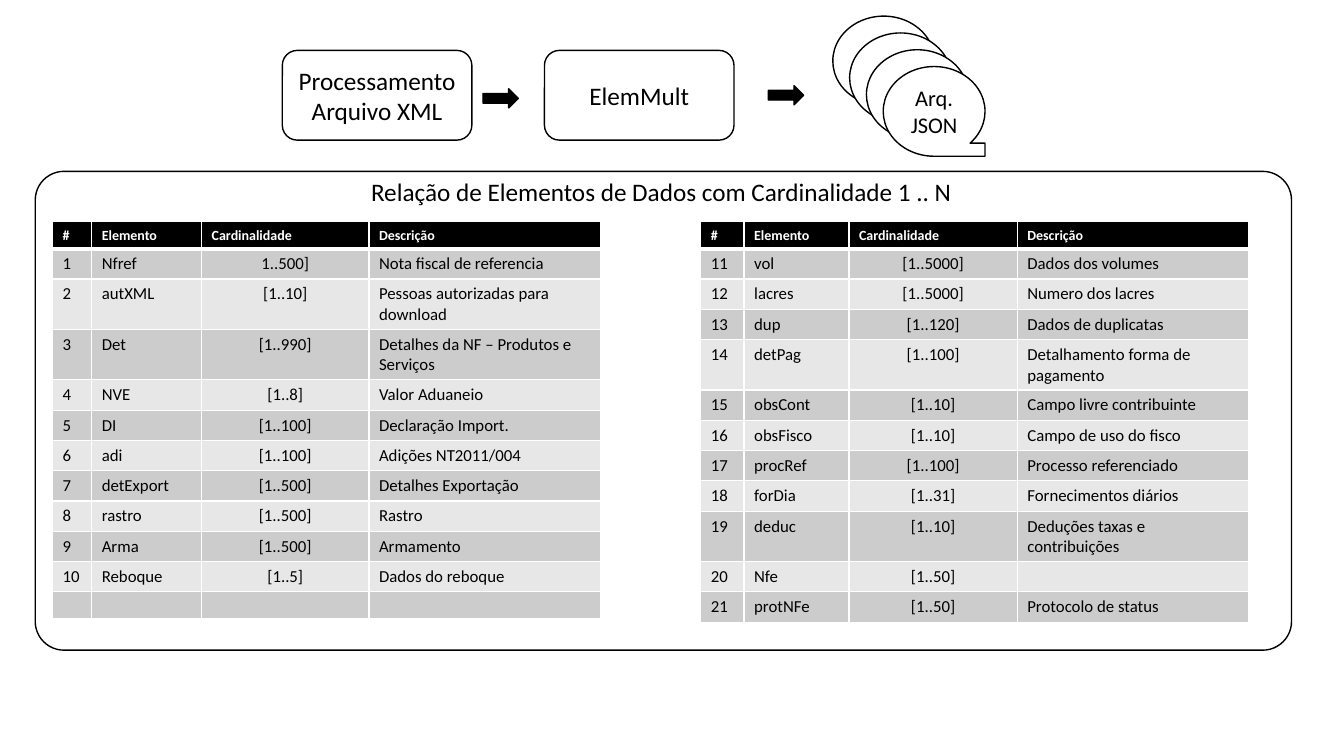
from dataclasses import dataclass

from lxml.etree import SubElement
from pptx import Presentation
from pptx.dml.color import RGBColor
from pptx.enum.shapes import MSO_SHAPE
from pptx.enum.text import MSO_ANCHOR, MSO_AUTO_SIZE, PP_ALIGN
from pptx.oxml.ns import qn
from pptx.util import Inches, Pt


@dataclass(frozen=True)
class Theme:
    font: str = "Calibri"
    black: RGBColor = RGBColor(0x00, 0x00, 0x00)
    white: RGBColor = RGBColor(0xFF, 0xFF, 0xFF)
    odd_row: RGBColor = RGBColor(0xCC, 0xCC, 0xCC)
    even_row: RGBColor = RGBColor(0xE7, 0xE7, 0xE7)
    heading: Pt = Pt(18)
    tape: Pt = Pt(16)
    body: Pt = Pt(12)
    column_head: Pt = Pt(10)
    outline: Pt = Pt(1)
    head_rule: Pt = Pt(3)


THEME = Theme()
COLUMN_HEADS = ("#", "Elemento", "Cardinalidade", "Descrição")
CARDINALITY_COLUMN = 2
ROW_HEIGHT = 0.26

FIRST_ELEMENTS = [
    ("1", "Nfref", "1..500]", "Nota fiscal de referencia"),
    ("2", "autXML", "[1..10]", "Pessoas autorizadas para download"),
    ("3", "Det", "[1..990]", "Detalhes da NF – Produtos e Serviços"),
    ("4", "NVE", "[1..8]", "Valor Aduaneio"),
    ("5", "DI", "[1..100]", "Declaração Import."),
    ("6", "adi", "[1..100]", "Adições NT2011/004"),
    ("7", "detExport", "[1..500]", "Detalhes Exportação"),
    ("8", "rastro", "[1..500]", "Rastro"),
    ("9", "Arma", "[1..500]", "Armamento"),
    ("10", "Reboque", "[1..5]", "Dados do reboque"),
    ("", "", "", ""),
]
LAST_ELEMENTS = [
    ("11", "vol", "[1..5000]", "Dados dos volumes"),
    ("12", "lacres", "[1..5000]", "Numero dos lacres"),
    ("13", "dup", "[1..120]", "Dados de duplicatas"),
    ("14", "detPag", "[1..100]", "Detalhamento forma de pagamento"),
    ("15", "obsCont", "[1..10]", "Campo livre contribuinte"),
    ("16", "obsFisco", "[1..10]", "Campo de uso do fisco"),
    ("17", "procRef", "[1..100]", "Processo referenciado"),
    ("18", "forDia", "[1..31]", "Fornecimentos diários"),
    ("19", "deduc", "[1..10]", "Deduções taxas e contribuições"),
    ("20", "Nfe", "[1..50]", ""),
    ("21", "protNFe", "[1..50]", "Protocolo de status"),
]


def apply_format(target, values):
    for attribute, value in values.items():
        setattr(target, attribute, value)


def write_text(frame, text, size, align, color=THEME.black, bold=False):
    frame.text = text
    for paragraph in frame.paragraphs:
        paragraph.alignment = align
        for run in paragraph.runs:
            apply_format(run.font, {"name": THEME.font, "size": size, "bold": bold})
            run.font.color.rgb = color


def add_outlined(slide, kind, box, fill=None, text="", size=THEME.heading):
    outlined = slide.shapes.add_shape(kind, *map(Inches, box))
    outlined.shadow.inherit = False
    outlined.line.color.rgb = THEME.black
    outlined.line.width = THEME.outline
    if fill is None:
        outlined.fill.background()
    else:
        outlined.fill.solid()
        outlined.fill.fore_color.rgb = fill
    if text:
        outlined.text_frame.vertical_anchor = MSO_ANCHOR.MIDDLE
        write_text(outlined.text_frame, text, size, PP_ALIGN.CENTER)
    return outlined


def set_borders(cell, bottom_width):
    properties = cell._tc.get_or_add_tcPr()
    widths = {"lnL": THEME.outline, "lnR": THEME.outline,
              "lnT": THEME.outline, "lnB": bottom_width}
    for side, width in widths.items():
        border = SubElement(properties, qn(f"a:{side}"), w=str(int(width)))
        border_fill = SubElement(border, qn("a:solidFill"))
        SubElement(border_fill, qn("a:srgbClr"), val=str(THEME.white))


def fill_cell(cell, text, fill, bottom_width, **text_format):
    # Borders come before the fill in the cell properties
    set_borders(cell, bottom_width)
    cell.fill.solid()
    cell.fill.fore_color.rgb = fill
    write_text(cell.text_frame, text, **text_format)
    if not text:
        paragraph = cell.text_frame.paragraphs[0]._p
        SubElement(paragraph, qn("a:endParaRPr"), sz=str(int(THEME.column_head.pt * 100)))


def add_element_table(slide, left, top, column_widths, elements):
    row_count = len(elements) + 1
    frame = slide.shapes.add_table(
        row_count, len(COLUMN_HEADS), Inches(left), Inches(top),
        Inches(sum(column_widths)), Inches(ROW_HEIGHT * row_count))
    table = frame.table
    for column, width in zip(table.columns, column_widths):
        column.width = Inches(width)
    for row in table.rows:
        row.height = Inches(ROW_HEIGHT)

    for column, head in enumerate(COLUMN_HEADS):
        fill_cell(table.cell(0, column), head, THEME.black, THEME.head_rule,
                  size=THEME.column_head, align=PP_ALIGN.LEFT,
                  color=THEME.white, bold=True)
    for row, element in enumerate(elements, start=1):
        fill = THEME.odd_row if row % 2 else THEME.even_row
        for column, text in enumerate(element):
            centred = column == CARDINALITY_COLUMN
            fill_cell(table.cell(row, column), text, fill, THEME.outline,
                      size=THEME.body,
                      align=PP_ALIGN.CENTER if centred else PP_ALIGN.LEFT)


def add_tape_stack(slide, left, top, count, step, label):
    for index in range(count):
        box = (left + index * step, top + index * step, 1.01, 0.89)
        front = index == count - 1
        add_outlined(slide, MSO_SHAPE.FLOWCHART_SEQUENTIAL_ACCESS_STORAGE, box,
                     THEME.white, label if front else "", THEME.tape)


def place_heading(slide, text):
    heading = slide.shapes.title
    apply_format(heading, {"left": Inches(3.58), "top": Inches(1.7),
                           "width": Inches(6.03), "height": Inches(0.4)})
    write_text(heading.text_frame, text, THEME.heading, PP_ALIGN.LEFT)
    apply_format(heading.text_frame, {"word_wrap": False,
                                      "vertical_anchor": MSO_ANCHOR.TOP,
                                      "auto_size": MSO_AUTO_SIZE.SHAPE_TO_FIT_TEXT})


def main():
    deck = Presentation()
    deck.slide_width, deck.slide_height = Inches(13.33), Inches(7.5)
    slide = deck.slides.add_slide(deck.slide_layouts[5])
    place_heading(slide, "Relação de Elementos de Dados com Cardinalidade 1 .. N")

    # Element tables
    add_element_table(slide, 0.52, 2.2, (0.39, 1.09, 1.66, 2.3), FIRST_ELEMENTS)
    add_element_table(slide, 6.95, 2.2, (0.43, 1.04, 1.67, 2.29), LAST_ELEMENTS)

    # Processing flow
    for left, step_text in ((2.8, "Processamento\nArquivo XML"), (5.4, "ElemMult")):
        add_outlined(slide, MSO_SHAPE.ROUNDED_RECTANGLE, (left, 0.5, 1.88, 0.89),
                     text=step_text)
    for left, top in ((4.79, 0.88), (7.62, 0.85)):
        add_outlined(slide, MSO_SHAPE.RIGHT_ARROW, (left, top, 0.35, 0.19), THEME.black)
    add_tape_stack(slide, 8.26, 0.16, 4, 1 / 6, "Arq.\nJSON")

    # Panel around the tables
    panel = add_outlined(slide, MSO_SHAPE.ROUNDED_RECTANGLE, (0.35, 1.7, 12.46, 4.75))
    panel.adjustments[0] = 0.06

    deck.save("out.pptx")


if __name__ == "__main__":
    main()
